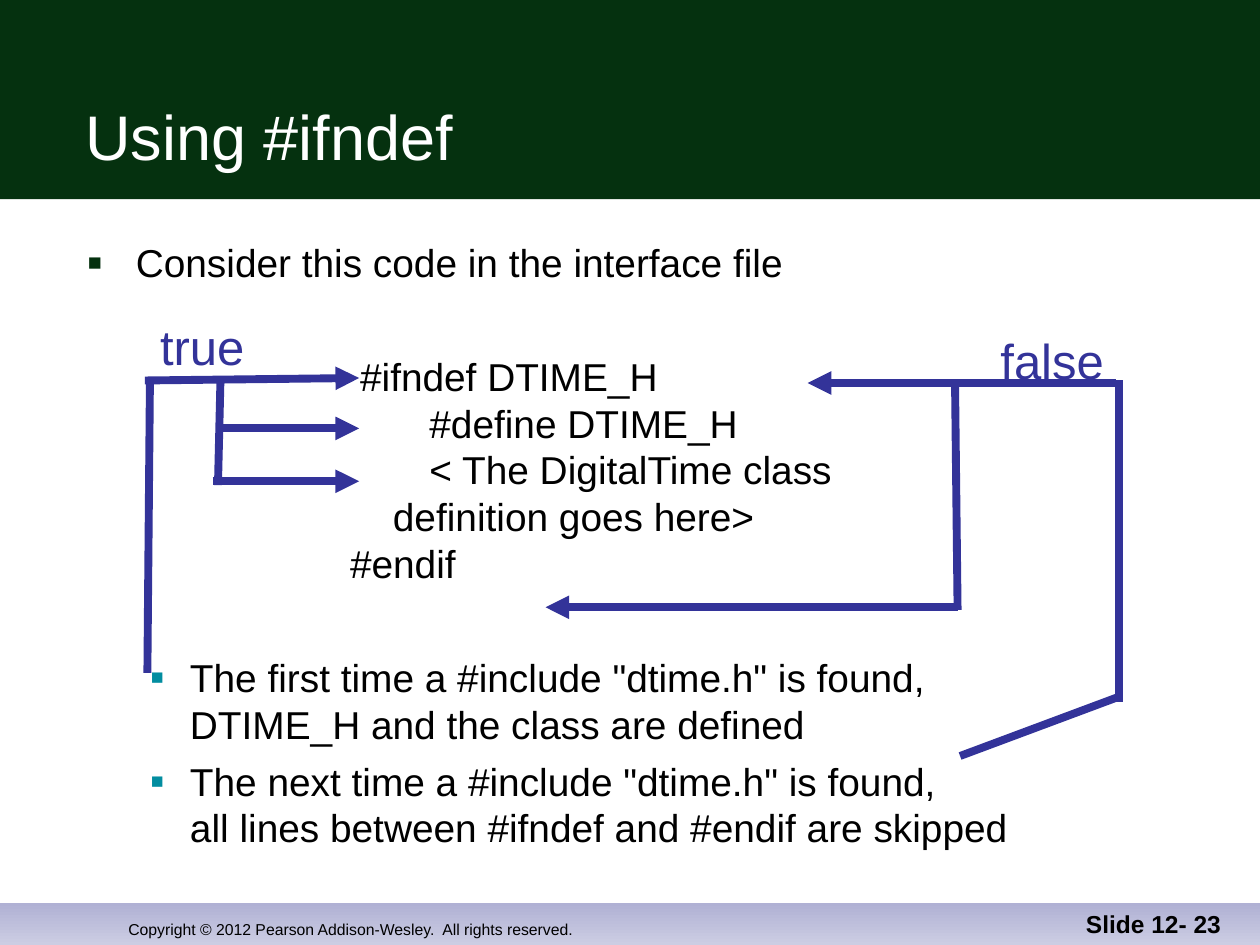
from lxml.etree import SubElement
from pptx import Presentation
from pptx.dml.color import RGBColor
from pptx.enum.dml import MSO_LINE
from pptx.enum.shapes import MSO_CONNECTOR, MSO_SHAPE
from pptx.enum.text import MSO_ANCHOR, PP_ALIGN
from pptx.oxml.ns import qn
from pptx.util import Inches, Pt

GREEN = RGBColor(0x05, 0x31, 0x0F)
TEAL = RGBColor(0x02, 0x8D, 0xA0)
INDIGO = RGBColor(0x33, 0x33, 0x99)
LAVENDER = RGBColor(0xB0, 0xB1, 0xD4)
PALE_LAVENDER = RGBColor(0xCC, 0xCD, 0xE3)
BLACK = RGBColor(0, 0, 0)
WHITE = RGBColor(255, 255, 255)

# Left margin and text of each line of code
CODE = [
    (2.16, "#ifndef DTIME_H"),
    (2.71, "#define DTIME_H"),
    (2.71, "< The DigitalTime class"),
    (2.42, "definition goes here>"),
    (2.08, "#endif"),
]
OUTCOMES = [
    'The first time a #include "dtime.h" is found, \nDTIME_H and the class are defined',
    'The next time a #include "dtime.h" is found, \nall lines between #ifndef and #endif are skipped',
]
# Start, end, and whether the end has an arrowhead
TRUE_PATH = [
    ((1.17, 5.34), (1.19, 3.04), False),
    ((1.15, 3.02), (2.85, 3.0), True),
    ((1.75, 3.0), (1.73, 3.85), False),
    ((1.73, 3.4), (2.85, 3.4), True),
    ((1.69, 3.82), (2.85, 3.82), True),
]
FALSE_PATH = [
    ((7.62, 6.0), (8.88, 5.53), False),
    ((8.88, 5.57), (8.88, 3.02), False),
    ((8.86, 3.04), (6.41, 3.04), True),
    ((7.58, 3.06), (7.6, 4.84), False),
    ((7.6, 4.82), (4.33, 4.82), True),
]


def add_band(page, top, height):
    band = page.shapes.add_shape(
        MSO_SHAPE.RECTANGLE, 0, Inches(top), Inches(10), Inches(height))
    band.shadow.inherit = False
    band.line.fill.background()
    return band


def add_frame(page, left, top, width, height, anchor=MSO_ANCHOR.TOP):
    box = page.shapes.add_textbox(
        Inches(left), Inches(top), Inches(width), Inches(height))
    frame = box.text_frame
    frame.word_wrap = True
    frame.vertical_anchor = anchor
    return frame


def style(para, size, color, bold=False):
    para.font.name = "Arial"
    para.font.size = Pt(size)
    para.font.color.rgb = color
    para.font.bold = bold


def add_label(page, text, place, size, color, anchor=MSO_ANCHOR.BOTTOM,
              align=PP_ALIGN.LEFT, bold=False):
    frame = add_frame(page, *place, anchor)
    para = frame.paragraphs[0]
    para.text = text
    para.alignment = align
    style(para, size, color, bold)
    return frame


def add_bullet(para, color, percent):
    props = para._p.get_or_add_pPr()
    bullet_color = SubElement(props, qn("a:buClr"))
    SubElement(bullet_color, qn("a:srgbClr"), val=str(color))
    SubElement(props, qn("a:buSzPct"), val=str(percent * 1000))
    SubElement(props, qn("a:buFont"), typeface="Arial")
    SubElement(props, qn("a:buChar"), char="■")


def write_body(para, text, margin, space_before=0, hang=0, bullet=None):
    para.text = text
    props = para._p.get_or_add_pPr()
    props.set("marL", str(Inches(margin)))
    props.set("indent", str(-Inches(hang)))
    if bullet:
        add_bullet(para, *bullet)
    para.line_spacing = Pt(26.6)
    para.space_before = Pt(space_before)
    style(para, 22.2, BLACK)


def add_body(page):
    frame = add_frame(page, 0.6, 1.85, 9.07, 5)
    frame.margin_right = 0
    write_body(frame.paragraphs[0], "Consider this code in the interface file",
               0.38, hang=0.38, bullet=(GREEN, 60))
    for number, (margin, text) in enumerate(CODE):
        write_body(frame.add_paragraph(), text, margin, 0 if number else 38.5)
    for number, text in enumerate(OUTCOMES):
        write_body(frame.add_paragraph(), text, 0.81, 6 if number else 39,
                   hang=0.31, bullet=(TEAL, 55))


def add_path(page, segments):
    for start, end, arrow in segments:
        line = page.shapes.add_connector(
            MSO_CONNECTOR.STRAIGHT, *map(Inches, start + end))
        line.line.color.rgb = INDIGO
        line.line.width = Pt(4.5)
        line.line.dash_style = MSO_LINE.SOLID
        if arrow:
            SubElement(line.line._get_or_add_ln(), qn("a:tailEnd"), type="triangle")
        SubElement(line._element.spPr, qn("a:effectLst"))


def add_branch_label(page, text, place):
    frame = add_label(page, text, place, 28, INDIGO, MSO_ANCHOR.TOP, PP_ALIGN.CENTER)
    frame.word_wrap = False
    frame.margin_top = Inches(0.08)


def main():
    deck = Presentation()
    deck.slide_width, deck.slide_height = Inches(10), Inches(7.5)
    page = deck.slides.add_slide(deck.slide_layouts[6])

    # Footer and title bands
    footer = add_band(page, 7.17, 0.33)
    footer.fill.gradient()
    footer.fill.gradient_angle = 270
    for stop, color in zip(footer.fill.gradient_stops, (LAVENDER, PALE_LAVENDER)):
        stop.color.rgb = color
    header = add_band(page, 0, 1.58)
    header.fill.solid()
    header.fill.fore_color.rgb = GREEN

    # Title, body and footer text
    add_label(page, "Copyright © 2012 Pearson Addison-Wesley.  All rights reserved.",
              (0.92, 7, 4.92, 0.5), 9, BLACK)
    add_label(page, "Using #ifndef", (0.58, 0.33, 9.08, 1.09), 36, WHITE)
    add_body(page)
    add_label(page, "Slide 12- 23", (7.71, 7, 2.08, 0.5), 14, BLACK,
              align=PP_ALIGN.RIGHT, bold=True)

    # The two branches through the code
    add_branch_label(page, "true", (1.17, 2.43, 0.87, 0.57))
    add_path(page, TRUE_PATH)
    add_branch_label(page, "false", (7.84, 2.54, 1.02, 0.57))
    add_path(page, FALSE_PATH)

    deck.save("out.pptx")


if __name__ == "__main__":
    main()
